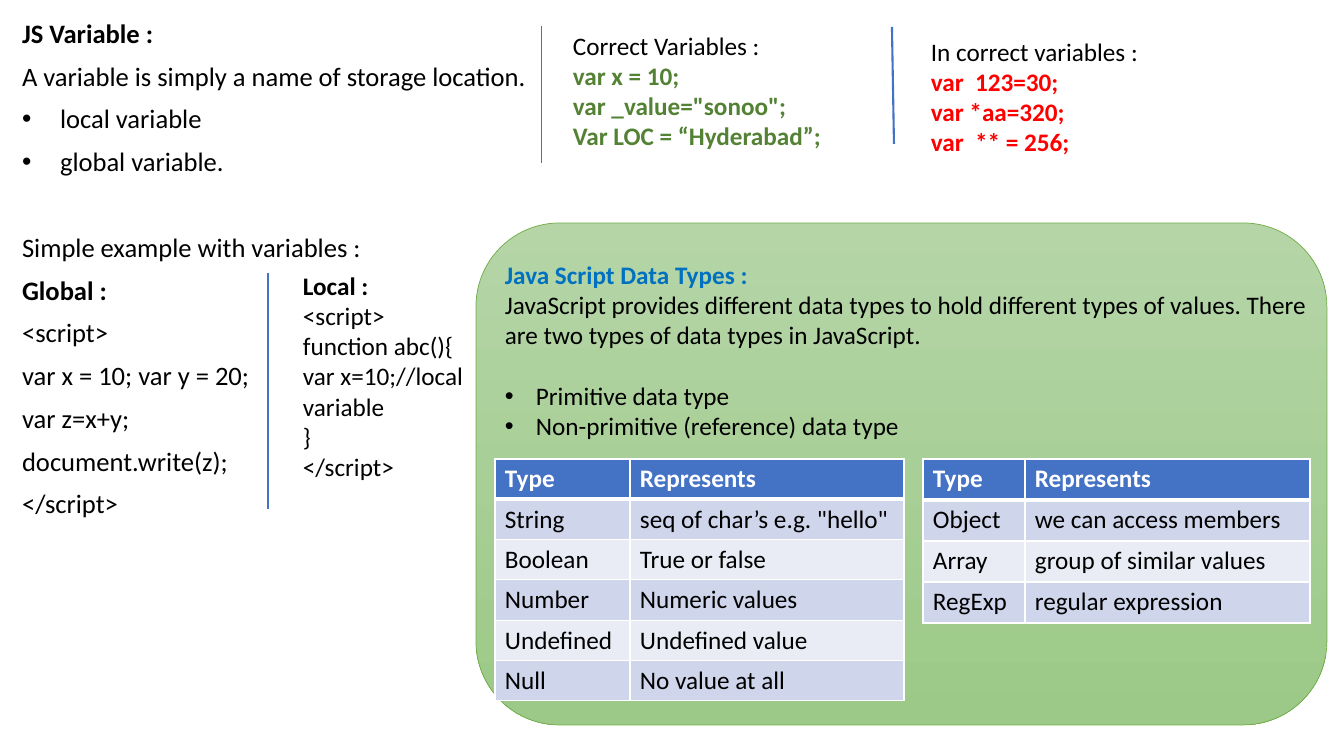
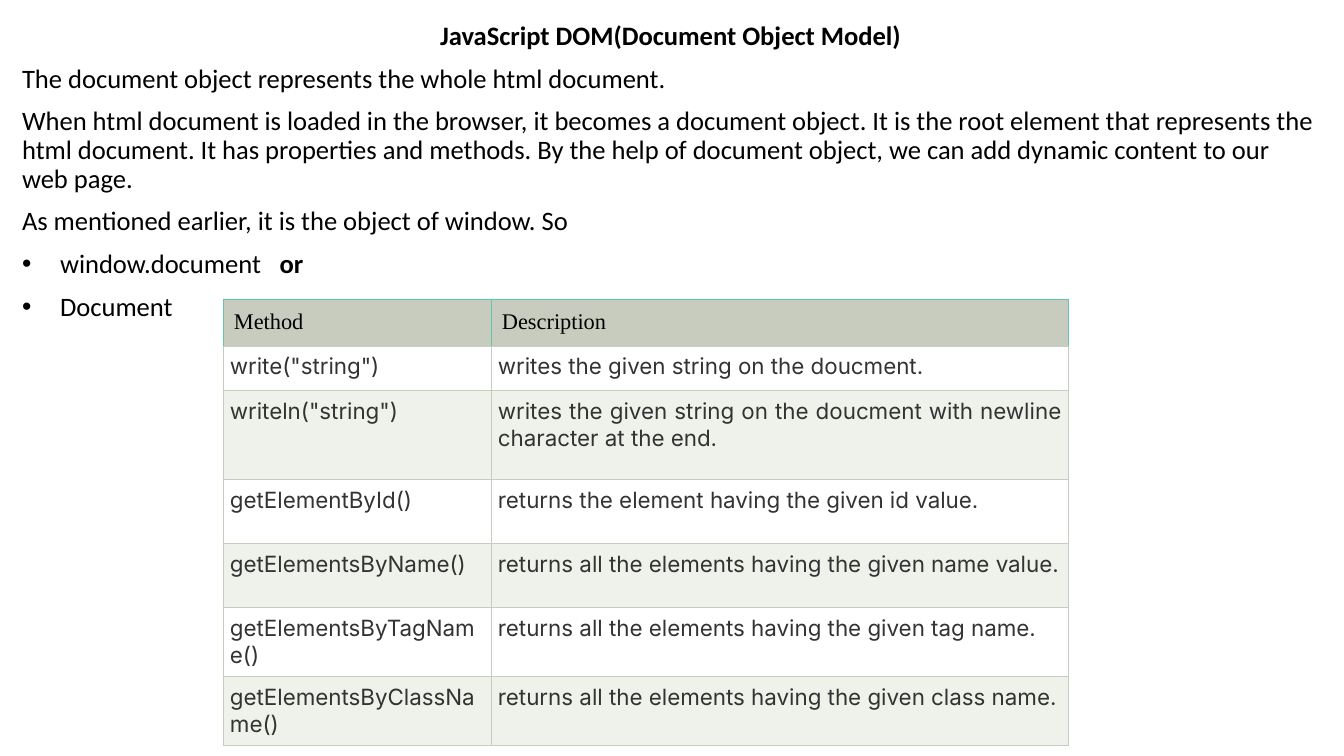
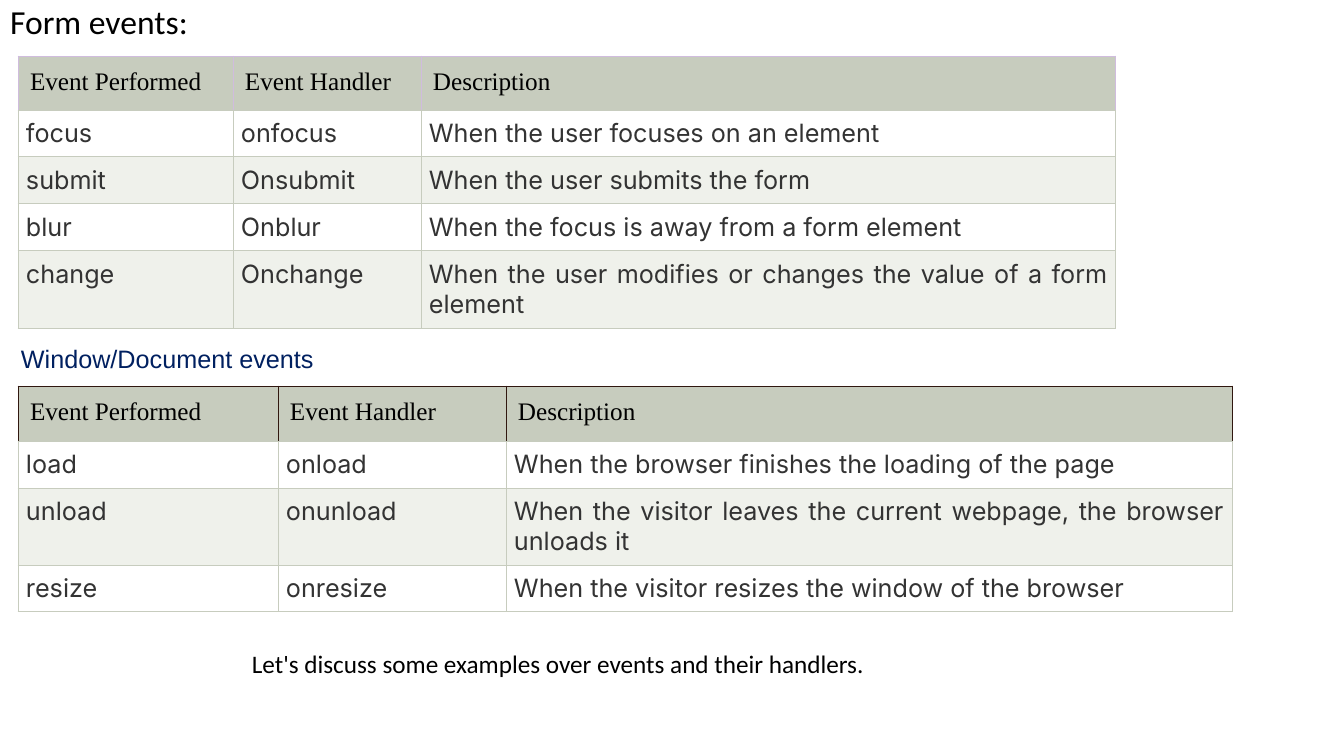
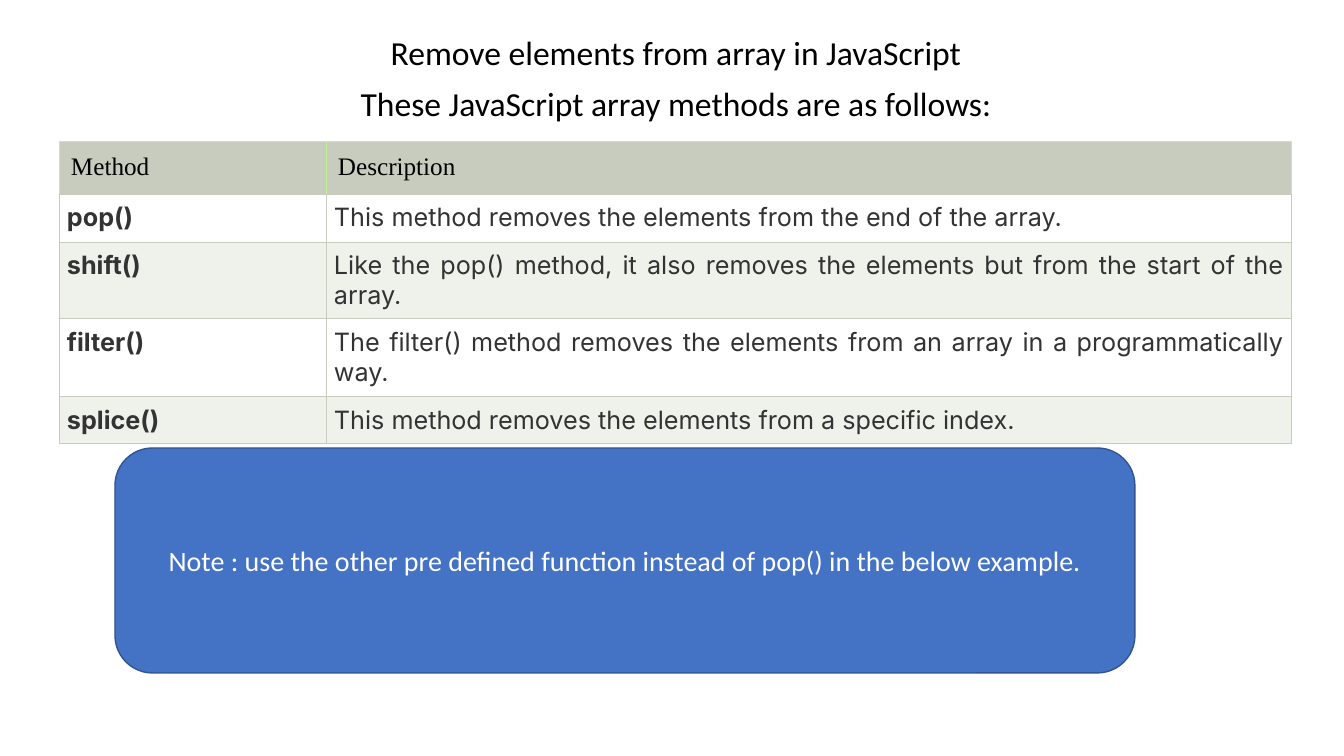
from dataclasses import dataclass

from lxml.etree import SubElement
from pptx import Presentation
from pptx.dml.color import RGBColor
from pptx.enum.shapes import MSO_CONNECTOR as Connector, MSO_SHAPE as Preset
from pptx.enum.text import MSO_ANCHOR as Anchor, MSO_AUTO_SIZE as AutoSize, PP_ALIGN as Align
from pptx.oxml.ns import qn
from pptx.util import Pt

EMU_PER_PX = 914400 / 100.8
TITLE_AND_BODY, TITLE_ONLY = 1, 5


@dataclass(frozen=True)
class Theme:
    sans: str = "Calibri"
    serif: str = "Times New Roman"
    grid: str = "Inter"
    caption: str = "Arial"
    black: str = "000000"
    white: str = "FFFFFF"
    blue: str = "4472C4"
    deep_blue: str = "325491"
    sky: str = "0070C0"
    navy: str = "002060"
    good: str = "548235"
    bad: str = "FF0000"
    green_line: str = "70AD47"
    green_fade: tuple = ("B5D5A7", "9CC987")
    blue_bands: tuple = ("CFD5EA", "E9EBF5")
    sage: str = "C7CCBE"
    sage_bands: tuple = ("FFFFFF", "EFF1EB")
    charcoal: str = "333333"
    teal: str = "60C6AF"
    lilac: str = "D0BCDE"
    brown: str = "30170F"
    lime: str = "C0F192"
    small: int = 16
    normal: int = 18
    lead: int = 19
    note: int = 20
    heading: int = 24


THEME = Theme()


@dataclass
class Line:
    text: object
    bold: bool = False
    color: str = THEME.black
    bullet: int = 0
    indent: int = 0
    gap: float = 0
    align: object = Align.LEFT


def px(length):
    return round(length * EMU_PER_PX)


def rgb(value):
    return RGBColor.from_string(value)


def apply(target, values):
    for name, value in values.items():
        setattr(target, name, value)


class Deck:
    def __init__(self, theme):
        self.theme = theme
        self.deck = Presentation()
        apply(self.deck, {"slide_width": px(1344), "slide_height": px(756)})
        self.slide = None

    def new_slide(self, layout):
        self.slide = self.deck.slides.add_slide(self.deck.slide_layouts[layout])

    def add_lines(self, frame, lines, size, font=None, spacing=1.0, before=0):
        for number, line in enumerate(lines):
            paragraph = frame.add_paragraph() if number else frame.paragraphs[0]
            apply(paragraph, {"alignment": line.align, "line_spacing": spacing,
                              "space_before": Pt(before + line.gap)})
            props = paragraph._p.get_or_add_pPr()
            props.set("marL", str(px(line.bullet or line.indent)))
            props.set("indent", str(px(-line.bullet)))
            if line.bullet:
                SubElement(props, qn("a:buFont")).set("typeface", self.theme.caption)
                SubElement(props, qn("a:buChar")).set("char", "•")
            else:
                SubElement(props, qn("a:buNone"))
            pieces = [(line.text, line.bold, 0)] if isinstance(line.text, str) else line.text
            for text, bold, tracking in pieces:
                run = paragraph.add_run()
                run.text = text
                apply(run.font, {"name": font or self.theme.sans, "size": Pt(size), "bold": bold})
                run.font.color.rgb = rgb(line.color)
                if tracking:
                    run._r.get_or_add_rPr().set("spc", str(tracking * 100))

    def fill_placeholder(self, holder, box, lines, size):
        apply(holder, dict(zip(("left", "top", "width", "height"), map(px, box))))
        frame = holder.text_frame
        apply(frame, {"word_wrap": True, "auto_size": AutoSize.NONE,
                      "vertical_anchor": Anchor.TOP})
        self.add_lines(frame, lines, size, spacing=0.9, before=10)

    def title(self, box, line, size):
        self.fill_placeholder(self.slide.shapes.title, box, [line], size)

    def body(self, box, lines, size):
        self.fill_placeholder(self.slide.placeholders[1], box, lines, size)

    def text(self, box, lines, font=None):
        frame = self.slide.shapes.add_textbox(*map(px, box)).text_frame
        frame.word_wrap = True
        self.add_lines(frame, lines, self.theme.normal, font)

    def divider(self, start, end, width):
        rule = self.slide.shapes.add_connector(Connector.STRAIGHT, *map(px, start + end))
        rule.line.color.rgb = rgb(self.theme.blue)
        rule.line.width = Pt(width)
        SubElement(rule._element.spPr, qn("a:effectLst"))

    def panel(self, box, fill, line, width):
        panel = self.slide.shapes.add_shape(Preset.ROUNDED_RECTANGLE, *map(px, box))
        panel.shadow.inherit = False
        if isinstance(fill, tuple):
            panel.fill.gradient()
            panel.fill.gradient_angle = 270
            for stop, color in zip(panel.fill.gradient_stops, fill):
                stop.color.rgb = rgb(color)
        else:
            panel.fill.solid()
            panel.fill.fore_color.rgb = rgb(fill)
        panel.line.color.rgb = rgb(line)
        panel.line.width = Pt(width)
        return panel

    def borders(self, cell, sides):
        props = cell._tc.get_or_add_tcPr()
        for place, (side, (color, width)) in enumerate(sides.items()):
            edge = props.makeelement(qn("a:ln" + side), {"w": str(Pt(width))})
            SubElement(SubElement(edge, qn("a:solidFill")), qn("a:srgbClr")).set("val", color)
            props.insert(place, edge)

    def grid(self, corner, widths, heights, rows, head, cells):
        box = (*corner, sum(widths), sum(heights))
        table = self.slide.shapes.add_table(len(rows), len(widths), *map(px, box)).table
        apply(table, {"first_row": False, "horz_banding": False})
        for column, width in zip(table.columns, widths):
            column.width = px(width)
        for row, height in zip(table.rows, heights):
            row.height = px(height)
        for r, row in enumerate(rows):
            look = cells if r else head
            fills = look["fills"]
            for c, text in enumerate(row):
                cell = table.cell(r, c)
                across, down = look["inset"]
                apply(cell, {"margin_left": px(across), "margin_right": px(across),
                             "margin_top": px(down), "margin_bottom": px(down)})
                cell.fill.solid()
                cell.fill.fore_color.rgb = rgb(fills[(r - 1) % len(fills)])
                self.borders(cell, look["edges"])
                line = Line(text, look["bold"] or (c == 0 and look.get("bold_first", False)),
                            look["color"], align=look["align"])
                self.add_lines(cell.text_frame, [line], look["size"], look["font"])

    def blue_grid(self, corner, widths, row_height, rows):
        t = self.theme
        edges = dict.fromkeys("LRTB", (t.white, 1))
        shared = {"inset": (10, 5), "size": t.normal, "font": t.sans, "align": Align.LEFT}
        self.grid(corner, widths, [row_height] * len(rows), rows,
                  {**shared, "fills": (t.blue,), "color": t.white, "bold": True,
                   "edges": {**edges, "B": (t.white, 3)}},
                  {**shared, "fills": t.blue_bands, "color": t.black, "bold": False,
                   "edges": edges})

    def sage_grid(self, corner, widths, heights, rows, accent, size=THEME.normal,
                  insets=(12, 8), bold_first=False):
        t = self.theme
        edges = dict.fromkeys("LRTB", (t.sage, 0.75))
        shared = {"size": size, "bold": False}
        self.grid(corner, widths, heights, rows,
                  {**shared, "inset": (insets[0],) * 2, "fills": (t.sage,), "color": t.black,
                   "font": t.serif, "align": Align.LEFT,
                   "edges": {**dict.fromkeys("LRT", (accent, 0.75)), "B": edges["B"]}},
                  {**shared, "inset": (insets[1],) * 2, "fills": t.sage_bands,
                   "color": t.charcoal, "font": t.grid, "align": Align.JUSTIFY,
                   "edges": edges, "bold_first": bold_first})


def variables(deck):
    t = deck.theme
    deck.new_slide(TITLE_AND_BODY)
    deck.title((12, 15, 1318, 43), Line("JS Variable :", bold=True), t.lead)
    deck.body((12, 58, 1318, 685), [
        Line("A variable is simply a name of storage location."),
        Line("local variable", bullet=38),
        Line("global variable.", bullet=38),
        Line("Simple example with variables :", gap=30.9),
        Line("Global :", bold=True),
        *map(Line, ("<script>", "var x = 10; var y = 20;", "var z=x+y;",
                    "document.write(z);", "</script>")),
    ], t.lead)
    deck.divider((541, 26), (541, 163), 0.5)
    deck.divider((892, 27), (894, 144), 1.5)
    deck.divider((268, 273), (268, 509), 1.5)
    samples = [
        ((563, 25, 743, 132), "Correct Variables :", t.good,
         ("var x = 10;", "var _value=\"sonoo\";", "Var LOC = “Hyderabad”;")),
        ((921, 31, 347, 132), "In correct variables :", t.bad,
         ("var  123=30;", "var *aa=320;", "var  ** = 256;")),
    ]
    for box, label, color, code in samples:
        deck.text(box, [Line(label), *(Line(text, True, color) for text in code)])
    deck.text((293, 265, 248, 224), [
        Line("Local :", bold=True),
        *map(Line, ("<script>", "function abc(){", "var x=10;//local variable",
                    "}", "</script>")),
    ])
    deck.panel((476, 223, 851, 502), t.green_fade, t.green_line, 0.5)
    deck.text((495, 254, 829, 194), [
        Line("Java Script Data Types :", True, t.sky),
        Line("JavaScript provides different data types to hold different types of values. "
             "There are two types of data types in JavaScript."),
        Line("Primitive data type", bullet=31, gap=22),
        Line("Non-primitive (reference) data type", bullet=31),
    ])
    deck.blue_grid((495, 459), (135, 274), 40.3, [
        ("Type", "Represents"),
        ("String", "seq of char’s e.g. \"hello\""),
        ("Boolean", "True or false"),
        ("Number", "Numeric values"),
        ("Undefined", "Undefined value"),
        ("Null", "No value at all"),
    ])
    deck.blue_grid((923, 459), (102, 285), 41, [
        ("Type", "Represents"),
        ("Object", "we can access members"),
        ("Array", "group of similar values"),
        ("RegExp", "regular expression"),
    ])


def document_model(deck):
    t = deck.theme
    deck.new_slide(TITLE_AND_BODY)
    deck.title((12, 17, 1317, 43),
               Line("JavaScript DOM(Document Object Model)", bold=True, align=Align.CENTER), t.lead)
    deck.body((12, 60, 1317, 681), [
        Line("The document object represents the whole html document."),
        Line("When html document is loaded in the browser, it becomes a document object. "
             "It is the root element that represents the html document. It has properties "
             "and methods. By the help of document object, we can add dynamic content to "
             "our web page."),
        Line("As mentioned earlier, it is the object of window. So"),
        Line([("window.document", False, 0), (" ", False, 9), ("or", True, 0)], bullet=38),
        Line("Document", bullet=38),
    ], t.lead)
    deck.sage_grid((223, 299), (268, 578), (47, 45, 89, 64, 64, 69, 68), [
        ("Method", "Description"),
        ("write(\"string\")", "writes the given string on the doucment."),
        ("writeln(\"string\")",
         "writes the given string on the doucment with newline character at the end."),
        ("getElementById()", "returns the element having the given id value."),
        ("getElementsByName()", "returns all the elements having the given name value."),
        ("getElementsByTagName()", "returns all the elements having the given tag name."),
        ("getElementsByClassName()", "returns all the elements having the given class name."),
    ], t.teal, size=t.small, insets=(11, 7))


def events(deck):
    t = deck.theme
    columns = ("Event Performed", "Event Handler", "Description")
    deck.new_slide(TITLE_ONLY)
    deck.title((0, 0, 1344, 756), Line("Form events:"), t.heading)
    deck.sage_grid((18, 56), (215, 188, 695), (54, 47, 47, 47, 78), [
        columns,
        ("focus", "onfocus", "When the user focuses on an element"),
        ("submit", "Onsubmit", "When the user submits the form"),
        ("blur", "Onblur", "When the focus is away from a form element"),
        ("change", "Onchange",
         "When the user modifies or changes the value of a form element"),
    ], t.lilac)
    deck.text((11, 338, 1326, 72),
              [Line("Window/Document events", color=t.navy, align=Align.JUSTIFY)], t.caption)
    deck.sage_grid((18, 386), (260, 228, 726), (55, 47, 77, 47), [
        columns,
        ("load", "onload", "When the browser finishes the loading of the page"),
        ("unload", "onunload",
         "When the visitor leaves the current webpage, the browser unloads it"),
        ("resize", "onresize", "When the visitor resizes the window of the browser"),
    ], t.brown)
    deck.text((40, 643, 1149, 40),
              [Line("Let's discuss some examples over events and their handlers.", indent=202)])


def array_methods(deck):
    t = deck.theme
    deck.new_slide(TITLE_AND_BODY)
    deck.title((25, 31, 1302, 51),
               Line("Remove elements from array in JavaScript", align=Align.CENTER), t.heading)
    deck.body((25, 82, 1302, 658),
              [Line("These JavaScript array methods are as follows:", align=Align.CENTER)],
              t.heading)
    deck.sage_grid((59, 141), (267, 966), (53, 48, 77, 78, 47), [
        ("Method", "Description"),
        ("pop()", "This method removes the elements from the end of the array."),
        ("shift()", "Like the pop() method, it also removes the elements but from the "
                    "start of the array."),
        ("filter()", "The filter() method removes the elements from an array in a "
                     "programmatically way."),
        ("splice()", "This method removes the elements from a specific index."),
    ], t.lime, bold_first=True)
    note = deck.panel((115, 448, 1020, 225), t.blue, t.deep_blue, 1).text_frame
    apply(note, {"word_wrap": True, "vertical_anchor": Anchor.MIDDLE})
    deck.add_lines(note, [Line("Note : use the other pre defined function instead of pop() in "
                               "the below example.", color=t.white, align=Align.CENTER)], t.note)


show = Deck(THEME)
for build in (variables, document_model, events, array_methods):
    build(show)
show.deck.save("out.pptx")
